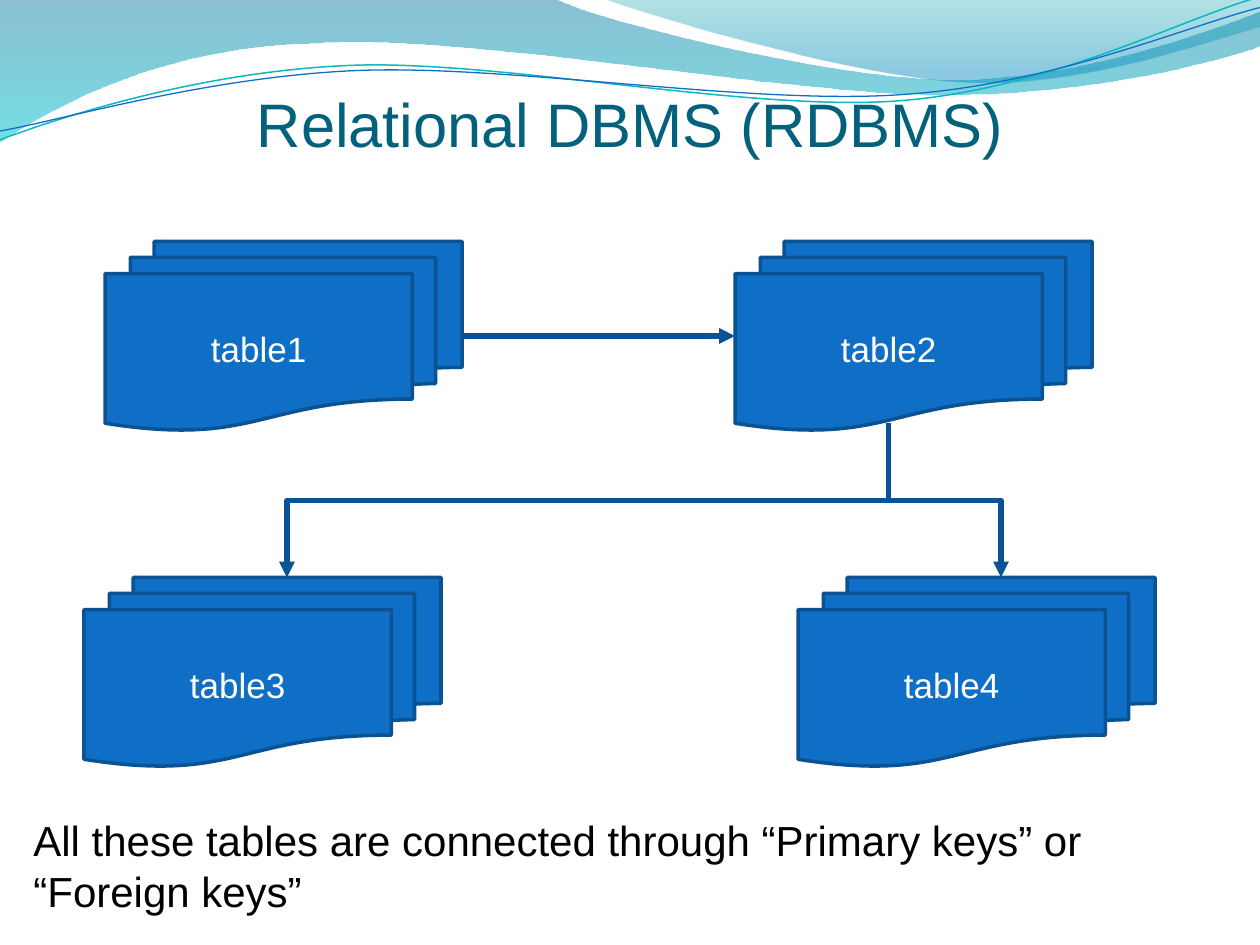
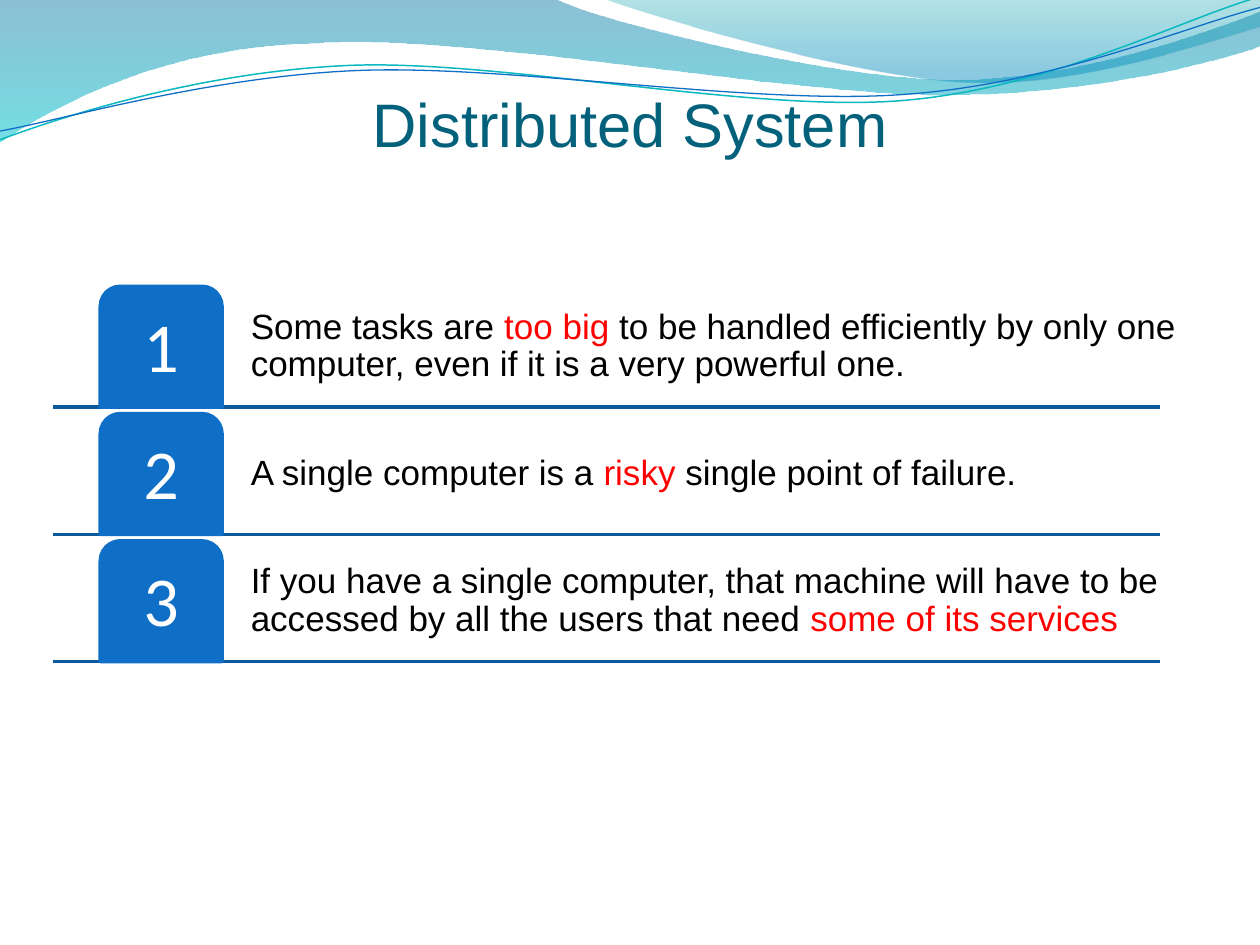
"""Builds two slides on relational and distributed database systems."""
from dataclasses import dataclass
from math import cos, radians, sin
from typing import NamedTuple

from lxml import etree
from pptx import Presentation
from pptx.dml.color import RGBColor
from pptx.enum.shapes import MSO_CONNECTOR, MSO_SHAPE
from pptx.enum.text import MSO_ANCHOR, PP_ALIGN
from pptx.oxml.ns import qn
from pptx.util import Emu, Inches, Pt

STRAIGHT, ELBOW = MSO_CONNECTOR.STRAIGHT, MSO_CONNECTOR.ELBOW
DOCUMENTS = MSO_SHAPE.FLOWCHART_MULTIDOCUMENT
TAB = MSO_SHAPE.ROUND_2_SAME_RECTANGLE
TOP, MIDDLE, BOTTOM = MSO_ANCHOR.TOP, MSO_ANCHOR.MIDDLE, MSO_ANCHOR.BOTTOM
LEFT, CENTER = PP_ALIGN.LEFT, PP_ALIGN.CENTER

COLS, ROWS = 120, 90
CELL = Inches(1) // 12
BLUE, EDGE, ARROW, RULE = "0F6FC6", "0B5292", "095295", "0C599F"
TEAL, TITLE, WHITE, BLACK, RED = "0AB8BF", "04617B", "FFFFFF", "000000", "FF0000"
UNITS = 1000
TILT = -2.7

Point = tuple[float, float]


class Box(NamedTuple):
    """A place on the grid, in columns and rows."""
    col: float
    row: float
    cols: float
    rows: float

    def emu(self) -> list[Emu]:
        """Give the box as lengths."""
        return [cells(n) for n in self]


class Run(NamedTuple):
    """A stretch of text in one colour."""
    text: str
    color: str = BLACK


class Stop(NamedTuple):
    """A gradient stop with position and opacity in percent."""
    position: int
    color: str
    opacity: int


@dataclass(frozen=True)
class Style:
    """How a block of text is set; insets are left, top, right, bottom."""
    size: float
    font: str = "Arial"
    align: PP_ALIGN = LEFT
    anchor: MSO_ANCHOR = MIDDLE
    spacing: float = 1.0
    insets: tuple[float, ...] = (0.1, 0.05, 0.1, 0.05)


@dataclass(frozen=True)
class Band:
    """A closed gradient wave; segments hold one point or three curve points."""
    start: Point
    segments: tuple[tuple[Point, ...], ...]
    stops: tuple[Stop, Stop]


@dataclass(frozen=True)
class Strand:
    """A thin wave line, tilted about its centre."""
    start: Point
    segments: tuple[tuple[Point, ...], ...]
    center: Point
    color: str
    width: float


@dataclass(frozen=True)
class Stack:
    """A stack of documents standing for one table."""
    name: str
    col: int
    row: int


TITLE_STYLE = Style(35.1, align=CENTER, anchor=BOTTOM, insets=(0, 0.05, 0, 0))
STACK_STYLE = Style(20, align=CENTER)
NOTE_STYLE = Style(24, anchor=TOP)
REASON_STYLE = Style(20, spacing=0.9, insets=(0.04,) * 4)
NUMBER_STYLE = Style(40, "Calibri", CENTER, spacing=0.9, insets=(0.08,) * 4)

BANDS = (
    Band((0, 0),
         (((4.4, -0.01),),
          ((4.76, 0.17), (6.64, 0.63), (7.58, 0.63)),
          ((8.53, 0.63), (9.58, 0.26), (10, 0.09)),
          ((10.01, 0.36),),
          ((9.83, 0.44), (8.7, 0.76), (7.46, 0.75)),
          ((6.22, 0.75), (3.82, 0.28), (2.57, 0.34)),
          ((1.29, 0.36), (0.46, 0.83), (-0.01, 1.13)),
          ((0, 0),)),
         (Stop(0, "0074A1", 45), Stop(100, "00C6CF", 55))),
    Band((4.79, -0.01),
         (((5.09, 0.11), (6.82, 0.62), (7.69, 0.65)),
          ((8.56, 0.69), (9.61, 0.32), (10, 0.21)),
          ((10, 0),),
          ((4.79, -0.01),)),
         (Stop(0, "00A1A9", 30), Stop(80, "008BBF", 45))),
)
STRANDS = (
    Strand((0, 1.11),
           (((0.48, 0.93), (1.58, 0.57), (2.77, 0.52)),
            ((3.95, 0.47), (5.93, 0.89), (7.13, 0.8)),
            ((8.33, 0.71), (9.38, 0.15), (9.98, -0.02))), (4.99, 0.57), TEAL, 0.85),
    Strand((0, 1.04),
           (((0.47, 0.96), (1.64, 0.61), (2.83, 0.56)),
            ((4.03, 0.51), (5.97, 0.84), (7.17, 0.75)),
            ((8.36, 0.67), (9.41, 0.21), (10, 0.06))), (5, 0.59), BLUE, 0.75),
)

STACK_COLS, STACK_ROWS = 34, 18
STACKS = (Stack("table1", 10, 23), Stack("table3", 8, 55),
          Stack("table2", 70, 23), Stack("table4", 76, 55))
REASONS = (
    (Run("Some tasks are "), Run("too big ", RED),
     Run("to be handled efficiently by only one computer, even if it is a very powerful one.")),
    (Run("A single computer is a "), Run("risky", RED), Run(" single point of failure.")),
    (Run("If you have a single computer, that machine will have to be accessed "
         "by all the users that need "), Run("some of its services", RED)),
)
REASON_TOP, REASON_ROWS, REASON_PITCH = 27.27, 11.5, 12.12


def cells(n: float) -> Emu:
    """Turn grid cells into a length."""
    return Emu(round(n * CELL))


def rgb(color: str) -> RGBColor:
    """Turn a hex string into a colour."""
    return RGBColor.from_string(color)


def write(sp, runs: tuple[Run, ...], style: Style) -> None:
    """Set one paragraph of runs in a shape."""
    tf = sp.text_frame
    tf.word_wrap = True
    tf.vertical_anchor = style.anchor
    tf.margin_left, tf.margin_top, tf.margin_right, tf.margin_bottom = map(Inches, style.insets)
    p = tf.paragraphs[0]
    p.alignment, p.line_spacing = style.align, style.spacing
    for run in runs:
        r = p.add_run()
        r.text = run.text
        r.font.size, r.font.name = Pt(style.size), style.font
        r.font.color.rgb = rgb(run.color)


def add_text(slide, box: Box, runs: tuple[Run, ...], style: Style) -> None:
    """Add a text box."""
    write(slide.shapes.add_textbox(*box.emu()), runs, style)


def add_block(slide, kind: MSO_SHAPE, box: Box, line: str, label: str, style: Style) -> None:
    """Add a blue shape with a white label."""
    sp = slide.shapes.add_shape(kind, *box.emu())
    sp.shadow.inherit = False
    sp.fill.solid()
    sp.fill.fore_color.rgb = rgb(BLUE)
    sp.line.color.rgb, sp.line.width = rgb(line), Pt(2)
    write(sp, (Run(label, WHITE),), style)


def add_line(slide, kind: MSO_CONNECTOR, ends: tuple[float, ...], color: str,
             width: float, arrow: bool = False):
    """Add a connector, with an arrowhead at its end if asked."""
    line = slide.shapes.add_connector(kind, *map(cells, ends))
    line.line.color.rgb, line.line.width = rgb(color), Pt(width)
    spPr = line.element.spPr
    if arrow:
        etree.SubElement(spPr.find(qn("a:ln")), qn("a:tailEnd"), type="triangle")
    etree.SubElement(spPr, qn("a:effectLst"))
    return line


def add_drop(slide, x1: float, y1: float, x2: float, y2: float) -> None:
    """Add an elbow arrow that leaves downwards and arrives downwards."""
    mid_x, mid_y = (x1 + x2) / 2, (y1 + y2) / 2
    turn = 1 if x2 < x1 else -1
    half_w, half_h = turn * (y2 - y1) / 2, abs(x2 - x1) / 2
    ends = (mid_x - half_w, mid_y - half_h, mid_x + half_w, mid_y + half_h)
    add_line(slide, ELBOW, ends, ARROW, 3, True).rotation = 90 * turn % 360


def turned(point: Point, center: Point, angle: float) -> Point:
    """Turn a point clockwise about a centre."""
    dx, dy = point[0] - center[0], point[1] - center[1]
    c, s = cos(radians(angle)), sin(radians(angle))
    return center[0] + dx * c - dy * s, center[1] + dx * s + dy * c


def add_outline(slide, start: Point, segments, close: bool):
    """Add a freeform of straight and cubic segments."""
    points = [(round(x * UNITS), round(y * UNITS))
              for x, y in (start, *(pt for seg in segments for pt in seg))]
    fb = slide.shapes.build_freeform(*points[0], scale=Inches(1) / UNITS)
    fb.add_line_segments(points[1:], close=close)
    sp = fb.convert_to_shape()
    sp.shadow.inherit = False
    steps = iter(list(sp.element.spPr.iter(qn("a:lnTo"))))
    for seg in segments:
        first, *others = [next(steps) for _ in seg]
        if others:
            first.tag = qn("a:cubicBezTo")
        for step in others:
            first.append(step[0])
            step.getparent().remove(step)
    return sp


def add_band(slide, band: Band) -> None:
    """Add a wave filled with a clear gradient."""
    sp = add_outline(slide, band.start, band.segments, True)
    sp.line.fill.background()
    sp.fill.gradient()
    sp.fill.gradient_angle = 270
    for grad, stop in zip(sp.fill.gradient_stops, band.stops):
        grad.position, grad.color.rgb = stop.position / 100, rgb(stop.color)
    for clr, stop in zip(sp.element.spPr.iter(qn("a:srgbClr")), band.stops):
        etree.SubElement(clr, qn("a:alpha"), val=str(stop.opacity * 1000))


def add_strand(slide, strand: Strand) -> None:
    """Add a thin wave line in its tilted frame."""
    segments = [[turned(pt, strand.center, -TILT) for pt in seg] for seg in strand.segments]
    sp = add_outline(slide, turned(strand.start, strand.center, -TILT), segments, False)
    sp.rotation = TILT % 360
    sp.fill.background()
    sp.line.color.rgb, sp.line.width = rgb(strand.color), Pt(strand.width)


def add_slide(prs, title: str):
    """Add a slide with the waves and its title."""
    slide = prs.slides.add_slide(prs.slide_layouts[6])
    for band in BANDS:
        add_band(slide, band)
    for strand in STRANDS:
        add_strand(slide, strand)
    add_text(slide, Box(6, 6, COLS - 12, 9.25), (Run(title, TITLE),), TITLE_STYLE)
    return slide


def build_relational(prs) -> None:
    """Draw four linked tables and a note."""
    slide = add_slide(prs, "Relational DBMS (RDBMS)")
    for stack in STACKS:
        box = Box(stack.col, stack.row, STACK_COLS, STACK_ROWS)
        add_block(slide, DOCUMENTS, box, EDGE, stack.name, STACK_STYLE)
    add_line(slide, STRAIGHT, (44, 32, 70, 32), ARROW, 3, True)
    for target in (27.33, 95.33):
        add_drop(slide, 84.65, 40.3, target, 55)
    add_text(slide, Box(2, 77, COLS - 4, 11),
             (Run("All these tables are connected through “Primary keys” or “Foreign keys”"),),
             NOTE_STYLE)


def build_distributed(prs) -> None:
    """Draw the numbered reasons, each above a rule."""
    slide = add_slide(prs, "Distributed System")
    for i, runs in enumerate(REASONS):
        top = REASON_TOP + i * REASON_PITCH
        bottom = top + REASON_ROWS
        add_line(slide, STRAIGHT, (5.04, bottom, 110.5, bottom), RULE, 2)
        add_text(slide, Box(23.4, top, 96.1, REASON_ROWS), runs, REASON_STYLE)
        add_block(slide, TAB, Box(9.55, top, 11.6, REASON_ROWS), BLUE, str(i + 1), NUMBER_STYLE)


def main() -> None:
    """Build and save the slides."""
    prs = Presentation()
    prs.slide_width, prs.slide_height = cells(COLS), cells(ROWS)
    build_relational(prs)
    build_distributed(prs)
    prs.save("out.pptx")


if __name__ == "__main__":
    main()
